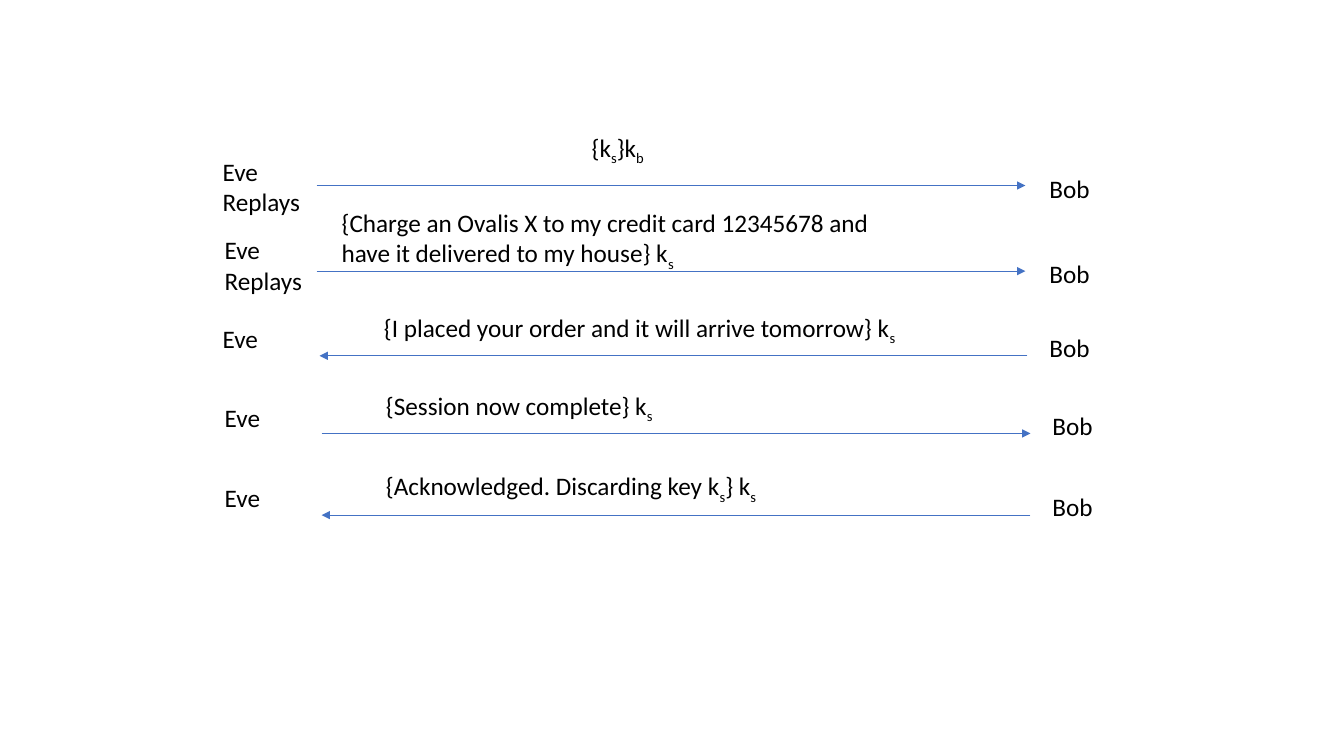
from lxml import etree
from pptx import Presentation
from pptx.dml.color import RGBColor
from pptx.enum.shapes import MSO_CONNECTOR
from pptx.enum.text import MSO_AUTO_SIZE
from pptx.oxml.ns import qn
from pptx.util import Inches, Pt

STRAIGHT = MSO_CONNECTOR.STRAIGHT
GROW = MSO_AUTO_SIZE.SHAPE_TO_FIT_TEXT
FONT, TEXT_COLOR, ARROW_COLOR = "Calibri", "000000", "4472C4"
LINE_HEIGHT, PADDING = 0.31, 0.09
BOB_WIDTH = 0.65

# Each exchange: arrow (start x, end x, y), Eve, message and Bob.
# Eve: text, left, top, width. Bob: left, top.
# Message: left, top, width, lines, then parts alternating normal and subscript.
EXCHANGES = [
    {"arrow": (3.14, 10.17, 1.84), "eve": ("Eve Replays", 2.11, 1.5, 1.04),
     "message": (5.77, 1.26, 1.19, 1, ["{k", "s", "}k", "b"]),
     "bob": (10.31, 1.67)},
    {"arrow": (3.14, 10.17, 2.69), "eve": ("Eve Replays", 2.13, 2.28, 1.04),
     "message": (3.29, 2.01, 5.93, 2,
                 ["{Charge an Ovalis X to my credit card 12345678 and "
                  "have it delivered to my house} k", "s"]),
     "bob": (10.31, 2.51)},
    {"arrow": (10.19, 3.17, 3.53), "eve": ("Eve", 2.11, 3.16, 0.78),
     "message": (3.71, 3.05, 5.3, 1,
                 ["{I placed your order and it will arrive tomorrow} k", "s"]),
     "bob": (10.31, 3.25)},
    {"arrow": (3.19, 10.22, 4.3), "eve": ("Eve", 2.13, 3.94, 0.78),
     "message": (3.73, 3.82, 5.3, 1, ["{Session now complete} k", "s"]),
     "bob": (10.34, 4.02)},
    {"arrow": (10.22, 3.19, 5.11), "eve": ("Eve", 2.13, 4.74, 0.78),
     "message": (3.73, 4.62, 5.3, 1,
                 ["{Acknowledged. Discarding key k", "s", "} k", "s"]),
     "bob": (10.34, 4.83)},
]


def color(hex_value):
    return RGBColor.from_string(hex_value)


def add_text(slide, left, top, width, lines, parts):
    """Add a text box whose every second part is a subscript."""
    height = lines * LINE_HEIGHT + PADDING
    box = slide.shapes.add_textbox(Inches(left), Inches(top), Inches(width), Inches(height))
    frame = box.text_frame
    frame.word_wrap = True
    frame.auto_size = GROW
    for index, part in enumerate(parts):
        run = frame.paragraphs[0].add_run()
        run.text = part
        run.font.name = FONT
        run.font.size = Pt(18)
        run.font.color.rgb = color(TEXT_COLOR)
        if index % 2:
            run.font._element.set("baseline", "-25000")


def add_arrow(slide, start, end, y):
    arrow = slide.shapes.add_connector(STRAIGHT, Inches(start), Inches(y), Inches(end), Inches(y))
    arrow.line.color.rgb = color(ARROW_COLOR)
    arrow.line.width = Pt(0.5)
    etree.SubElement(arrow.line._get_or_add_ln(), qn("a:tailEnd"), type="triangle")
    etree.SubElement(arrow._element.spPr, qn("a:effectLst"))


def main():
    deck = Presentation()
    deck.slide_width, deck.slide_height = Inches(13.33), Inches(7.5)
    slide = deck.slides.add_slide(deck.slide_layouts[6])

    for exchange in EXCHANGES:
        add_arrow(slide, *exchange["arrow"])
        eve, left, top, width = exchange["eve"]
        add_text(slide, left, top, width, len(eve.split()), [eve])
        add_text(slide, *exchange["message"])
        add_text(slide, *exchange["bob"], BOB_WIDTH, 1, ["Bob"])

    deck.save("out.pptx")


if __name__ == "__main__":
    main()
